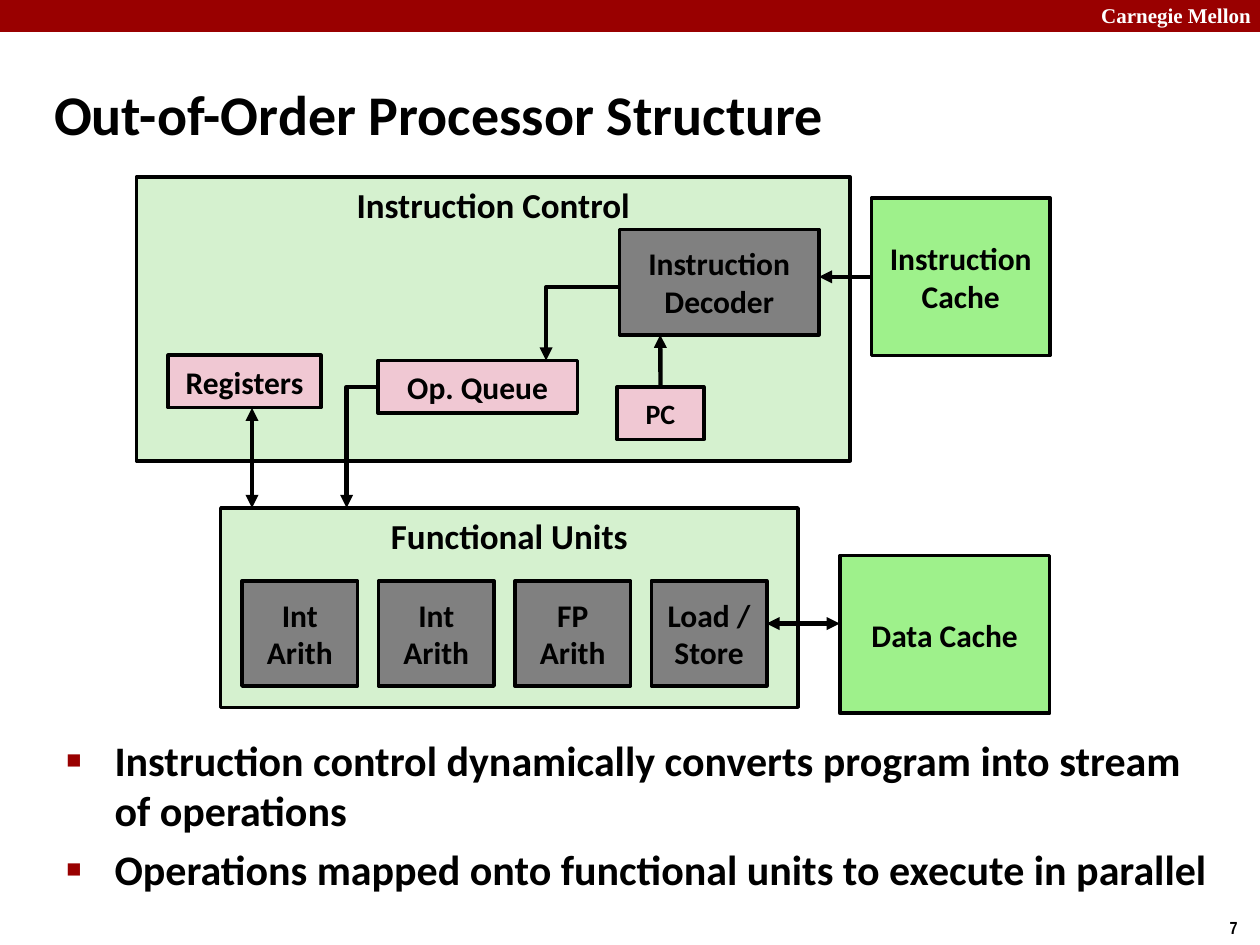
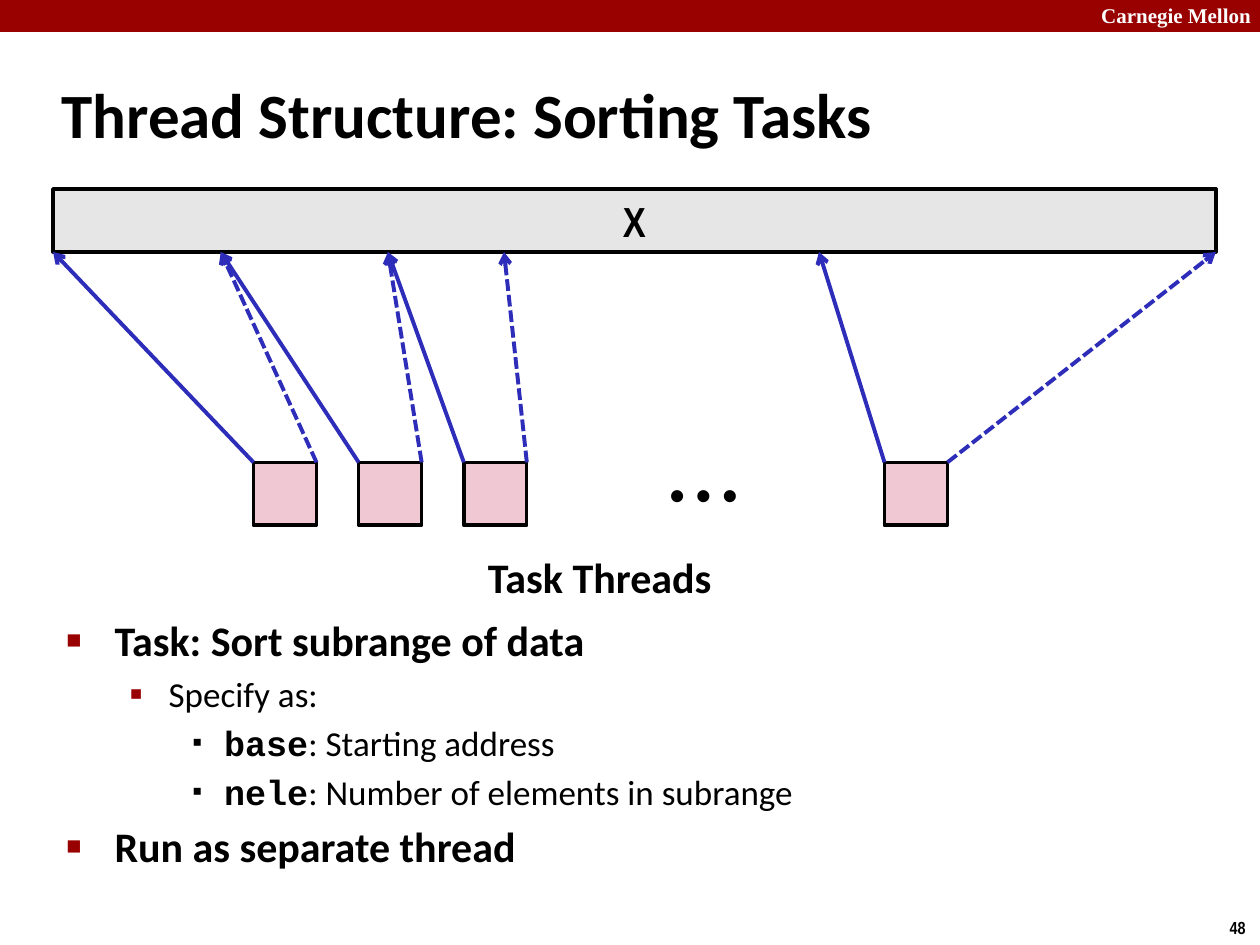
"""Build two lecture slides: a processor block diagram and a sorting thread diagram."""
import lxml.etree
import pptx
import pptx.dml.color
import pptx.enum.dml
import pptx.enum.shapes
import pptx.enum.text
import pptx.oxml.ns
import pptx.util

Cm = pptx.util.Cm
Pt = pptx.util.Pt
hue = pptx.dml.color.RGBColor.from_string
qn = pptx.oxml.ns.qn
LEFT = pptx.enum.text.PP_ALIGN.LEFT
MID = pptx.enum.text.PP_ALIGN.CENTER
TOP = pptx.enum.text.MSO_ANCHOR.TOP
HALF = pptx.enum.text.MSO_ANCHOR.MIDDLE

RED, BLACK, WHITE, BLUE = "990000", "000000", "FFFFFF", "2D2DB9"
PALE, GREEN, GRAY, PINK, LIGHT = "D5F1CF", "9EF18B", "808080", "F0C8D3", "E6E6E6"


def box(page, at, lines=(), fill=None, edge=BLACK, size=18, face="Calibri",
        ink=BLACK, align=MID, anchor=HALF, wrap=True):
    spot = [Cm(n) for n in at]
    if fill:
        shape = page.shapes.add_shape(pptx.enum.shapes.MSO_SHAPE.RECTANGLE, *spot)
        shape.shadow.inherit = False
        shape.fill.solid()
        shape.fill.fore_color.rgb = hue(fill)
        shape.line.color.rgb = hue(edge)
        shape.line.width = Pt(2 if edge == BLACK else 0)
    else:
        shape = page.shapes.add_textbox(*spot)
    frame = shape.text_frame
    frame.word_wrap = wrap
    frame.vertical_anchor = anchor
    for i, line in enumerate(lines):
        para = frame.add_paragraph() if i else frame.paragraphs[0]
        para.alignment = align
        run = para.add_run()
        run.text = line
        run.font.size = Pt(size)
        run.font.name = face
        run.font.bold = True
        run.font.color.rgb = hue(ink)
    return shape


def link(page, ends, tint=BLACK, width=2.5, tip="triangle", both=False, bent=False):
    kind = pptx.enum.shapes.MSO_CONNECTOR
    line = page.shapes.add_connector(kind.ELBOW if bent else kind.STRAIGHT,
                                     *[Cm(n) for n in ends])
    if bent:
        line._element.spPr.find(qn("a:prstGeom")).set("prst", "bentConnector2")
    line.line.color.rgb = hue(tint)
    line.line.width = Pt(width)
    stroke = line.line._get_or_add_ln()
    for tag in ("a:headEnd", "a:tailEnd") if both else ("a:tailEnd",):
        lxml.etree.SubElement(stroke, qn(tag), type=tip)
    lxml.etree.SubElement(line._element.spPr, qn("a:effectLst"))
    return line


deck = pptx.Presentation()
deck.slide_width, deck.slide_height = Cm(25.4), Cm(19.05)

levels = [
    ("■", 60, RED, 0.97, 24),
    ("▪", 110, RED, 0.79, 20),
    ("▪", 80, BLACK, 0.64, 20),
]
indents = [0.97, 2.06, 3.18]
bold = ("Calibri", True)
plain = ("Calibri", False)
code = ("Courier New", True)

plans = [
    ("Out-of-Order Processor Structure", 32, (0.84, 1.22, 24.56, 2.11), "7",
     (1.09, 14.68, 23.67, 3.4), [
         (0, [("Instruction control dynamically converts program into stream of operations", bold)]),
         (0, [("Operations mapped onto functional units to execute in parallel", bold)]),
     ]),
    ("Thread Structure: Sorting Tasks", 36, (0.99, 1.22, 21.08, 2.11), "48",
     (1.09, 12.27, 21.95, 5.33), [
         (0, [("Task: Sort subrange of data", bold)]),
         (1, [("Specify as:", plain)]),
         (2, [("base", code), (": Starting address", plain)]),
         (2, [("nele", code), (": Number of elements in subrange", plain)]),
         (0, [("Run as separate thread", bold)]),
     ]),
]

pages = []
for title, size, head, number, area, points in plans:
    page = deck.slides.add_slide(deck.slide_layouts[6])
    pages.append(page)
    box(page, (0, 0, 25.4, 0.64), fill=RED, edge=RED)
    box(page, (21.95, -0.08, 3.63, 0.76), ["Carnegie Mellon"], size=12,
        face="Times New Roman", ink=WHITE, align=LEFT, anchor=TOP)
    box(page, (24.54, 18.36, 0.86, 0.69), [number], size=10,
        face="Arial Narrow", align=LEFT, anchor=TOP, wrap=False)
    box(page, head, [title], size=size, align=LEFT)
    frame = box(page, area, anchor=TOP).text_frame
    for i, (depth, runs) in enumerate(points):
        mark, scale, tint, hang, size = levels[depth]
        para = frame.add_paragraph() if i else frame.paragraphs[0]
        props = para._p.get_or_add_pPr()
        props.set("marL", str(Cm(indents[depth])))
        props.set("indent", str(-Cm(hang)))
        color = lxml.etree.SubElement(props, qn("a:buClr"))
        lxml.etree.SubElement(color, qn("a:srgbClr"), val=tint)
        lxml.etree.SubElement(props, qn("a:buSzPct"), val=str(scale * 1000))
        lxml.etree.SubElement(props, qn("a:buFont"), typeface="Arial")
        lxml.etree.SubElement(props, qn("a:buChar"), char=mark)
        if i:
            para.space_before = Pt(size * 0.2)
        for text, (face, heavy) in runs:
            run = para.add_run()
            run.text = text
            run.font.size = Pt(size)
            run.font.name = face
            run.font.bold = heavy
            run.font.color.rgb = hue(BLACK)

chip, sort = pages

box(chip, (4.45, 10.24, 11.64, 4.02), ["Functional Units"], PALE, size=20, anchor=TOP)
units = [("Int", "Arith"), ("Int", "Arith"), ("FP", "Arith"), ("Load /", "Store")]
for i, unit in enumerate(units):
    box(chip, (4.88 + 2.75 * i, 11.71, 2.33, 2.12), unit, GRAY)

box(chip, (2.75, 3.57, 14.39, 5.72), ["Instruction Control"], PALE, size=20, anchor=TOP)
box(chip, (3.39, 7.16, 3.08, 1.06), ["Registers"], PINK)
box(chip, (12.49, 4.63, 4.02, 2.12), ["Instruction Decoder"], GRAY)
box(chip, (7.62, 7.27, 4.02, 1.06), ["Op. Queue"], PINK)
box(chip, (16.93, 11.2, 4.23, 3.18), ["Data Cache"], GREEN)
cache = box(chip, (17.57, 3.99, 3.6, 3.18), ["Instruction", "Cache"], GREEN)
count = box(chip, (12.44, 7.8, 1.75, 1.06), ["PC"], PINK, size=16)

link(chip, (16.93, 12.57, 15.45, 12.57), both=True)
link(chip, (5.08, 8.22, 5.08, 10.24), both=True)
link(chip, (7.62, 7.8, 6.99, 10.24), bent=True)
link(chip, (12.49, 5.79, 11.01, 7.27), bent=True)
link(chip, (17.57, 5.58, 16.51, 5.58)).begin_connect(cache, 1)
link(chip, (13.31, 7.8, 13.31, 6.75)).begin_connect(count, 0)

box(sort, (1.07, 3.81, 23.44, 1.27), ["X"], LIGHT, size=24, face="Arial Narrow")
box(sort, (10.59, 9.32, 7.19, 1.27), ["• • •"], size=24, face="Arial")
box(sort, (5.13, 11, 13.92, 1.27), ["Task Threads"], size=24)

side = 1.27
spans = [(0, 1.07, 4.45), (1, 4.45, 7.82), (2, 7.82, 10.16), (6, 16.51, 24.51)]
for slot, first, last in spans:
    left = 5.11 + 2.12 * slot
    box(sort, (left, 9.32, side, side), fill=PINK)
    link(sort, (left, 9.32, first, 5.08), BLUE, 2.25, "arrow")
    dash = link(sort, (left + side, 9.32, last, 5.08), BLUE, 2.25, "arrow")
    dash.line.dash_style = pptx.enum.dml.MSO_LINE.SQUARE_DOT

deck.save("out.pptx")
